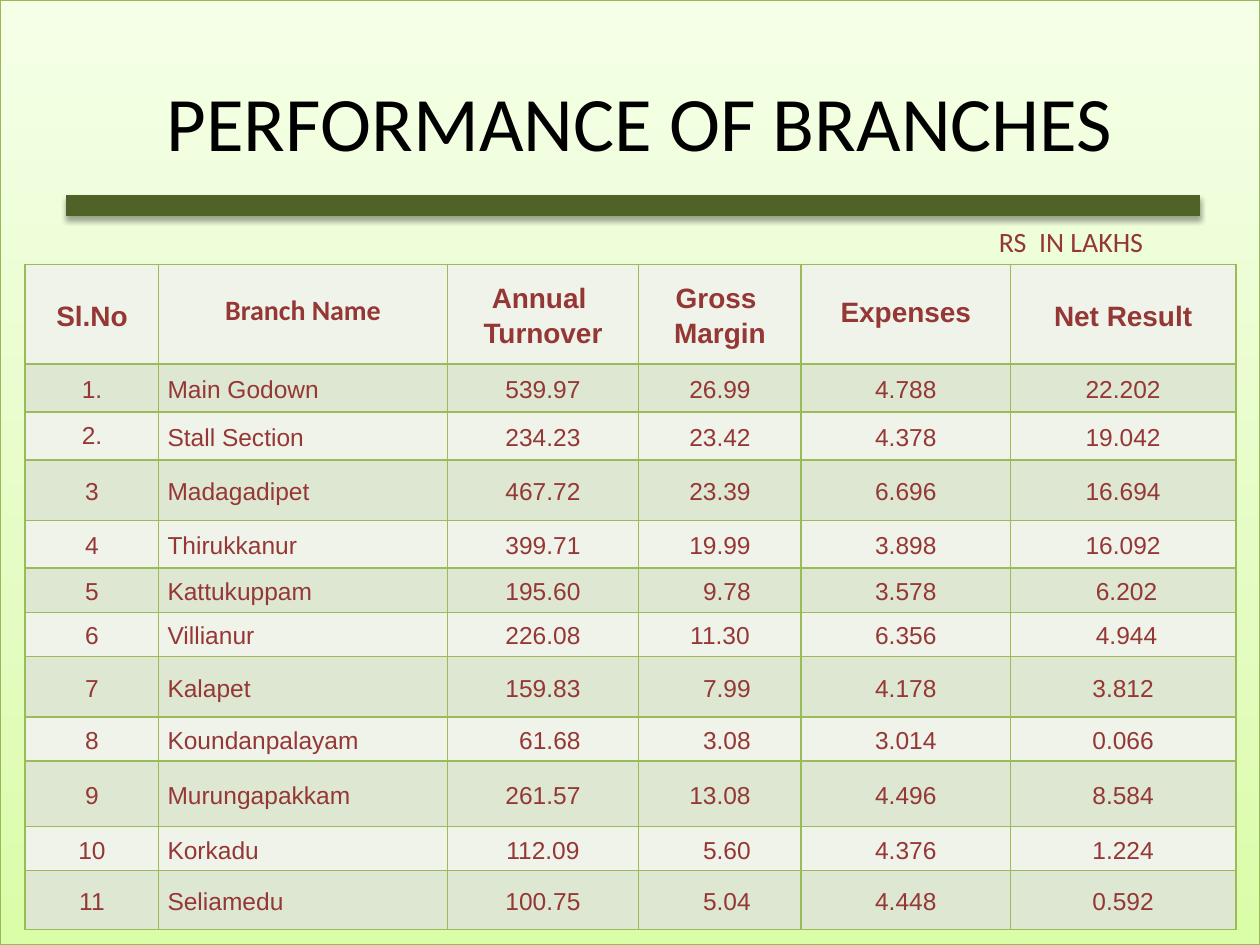
from lxml import etree
from pptx import Presentation
from pptx import util as u
from pptx.dml.color import RGBColor
from pptx.enum import shapes, text
from pptx.oxml import parse_xml
from pptx.oxml.ns import nsdecls, qn

Inches, Pt = u.Inches, u.Pt

OLIVE = RGBColor(0x4F, 0x62, 0x28)
GREEN = RGBColor(0x9B, 0xBB, 0x59)
EDGE = RGBColor(0x98, 0xB9, 0x55)
MAROON = RGBColor(0x95, 0x37, 0x35)
BLACK = RGBColor(0, 0, 0)
PALE = RGBColor(0xEF, 0xF3, 0xEA)
BAND = RGBColor(0xDE, 0xE7, 0xD1)
BACKDROP_STOPS = [
    (0, RGBColor(0xDA, 0xFD, 0xA7)),
    (35, RGBColor(0xE4, 0xFC, 0xC2)),
    (100, RGBColor(0xF5, 0xFF, 0xE7)),
]

COLUMN_WIDTHS = [1.06, 2.29, 1.52, 1.29, 1.66, 1.79]
ROW_HEIGHTS = [0.79, 0.38, 0.38, 0.48, 0.38, 0.35, 0.35, 0.48, 0.35, 0.52, 0.35, 0.47]
HEADINGS = ["Sl.No", "Branch Name", "Annual \nTurnover", "Gross \nMargin", "Expenses", "Net Result"]
TIGHT_HEADINGS = {"Branch Name", "Turnover", "Margin", "Expenses"}
BRANCHES = [
    ("1.", "Main Godown", "539.97", "26.99", "4.788", "22.202"),
    ("2.", "Stall Section", "234.23", "23.42", "4.378", "19.042"),
    ("3", "Madagadipet", "467.72", "23.39", "6.696", "16.694"),
    ("4", "Thirukkanur", "399.71", "19.99", "3.898", "16.092"),
    ("5", "Kattukuppam", "195.60", "9.78", "3.578", " 6.202"),
    ("6", "Villianur", "226.08", "11.30", "6.356", " 4.944"),
    ("7", "Kalapet", "159.83", "7.99", "4.178", "3.812"),
    ("8", "Koundanpalayam", "61.68", "3.08", "3.014", "0.066"),
    ("9", "Murungapakkam", "261.57", "13.08", "4.496", "8.584"),
    ("10", "Korkadu", "112.09", "5.60", "4.376", "1.224"),
    ("11", "Seliamedu", "100.75", "5.04", "4.448", "0.592"),
]
FULL_DIGITS = {2: 6, 3: 5}
DIGIT_WIDTH = 0.11


def style_font(font, size, name, color, bold=False):
    """Set the size, typeface, colour and weight of a font."""
    font.size, font.name, font.bold = Pt(size), name, bold
    font.color.rgb = color


def add_shadow(shape, opacity, distance):
    """Give a shape a soft black shadow that falls straight down."""
    shape.shadow.inherit = False
    effects = shape.element.spPr.find(qn("a:effectLst"))
    effects.append(parse_xml(
        f'<a:outerShdw {nsdecls("a")} blurRad="{Pt(3.1)}" dist="{Pt(distance)}" '
        f'dir="5400000" rotWithShape="0"><a:srgbClr val="000000">'
        f'<a:alpha val="{opacity * 1000}"/></a:srgbClr></a:outerShdw>'))


def add_backdrop(slide, left, top, width, height):
    """Cover the box with the green gradient panel."""
    panel = slide.shapes.add_shape(shapes.MSO_SHAPE.RECTANGLE, left, top, width, height)
    panel.fill.gradient()
    panel.fill.gradient_angle = 90
    stops = panel.element.spPr.find(qn("a:gradFill")).find(qn("a:gsLst"))
    stops.clear()
    for position, color in BACKDROP_STOPS:
        stop = etree.SubElement(stops, qn("a:gs"), pos=str(position * 1000))
        etree.SubElement(stop, qn("a:srgbClr"), val=str(color))
    panel.line.color.rgb = EDGE
    panel.line.width = Pt(0.75)
    add_shadow(panel, 38, 1.6)


def add_rule(slide, left, top, width, height):
    """Draw the olive bar under the title."""
    bar = slide.shapes.add_shape(shapes.MSO_SHAPE.MATH_MINUS, left, top, width, height)
    bar.fill.solid()
    bar.fill.fore_color.rgb = OLIVE
    bar.line.fill.background()
    add_shadow(bar, 35, 1.8)


def add_label(slide, left, top, width, height, wording, size, color, align):
    """Place one line of text in the box."""
    frame = slide.shapes.add_textbox(left, top, width, height).text_frame
    frame.word_wrap = True
    frame.vertical_anchor = text.MSO_ANCHOR.MIDDLE
    frame.text = wording
    line = frame.paragraphs[0]
    line.alignment = align
    style_font(line.runs[0].font, size, "Calibri", color)


def add_borders(cell):
    """Outline a cell in green."""
    properties = cell._tc.get_or_add_tcPr()
    for index, side in enumerate("LRTB"):
        properties.insert(index, parse_xml(
            f'<a:ln{side} {nsdecls("a")} w="{Pt(1)}"><a:solidFill>'
            f'<a:srgbClr val="{GREEN}"/></a:solidFill></a:ln{side}>'))


def fill_cell(cell, wording, row, column):
    """Write and format one cell of the branch table."""
    heading = row == 0
    cell.fill.solid()
    cell.fill.fore_color.rgb = BAND if row % 2 else PALE
    add_borders(cell)
    cell.vertical_anchor = text.MSO_ANCHOR.MIDDLE
    short = not heading and len(wording) < FULL_DIGITS.get(column, 0)
    cell.margin_left = Inches(0.07 + DIGIT_WIDTH * short)
    cell.margin_right = Inches(0.07)
    cell.margin_top = cell.margin_bottom = 0
    cell.text_frame.text = wording
    for index, line in enumerate(cell.text_frame.paragraphs):
        branch = column == 1 and not heading
        line.alignment = text.PP_ALIGN.LEFT if branch else text.PP_ALIGN.CENTER
        if line.text != "2.":
            line.line_spacing = Pt(16.1) if line.text in TIGHT_HEADINGS else 1.15
        if index:
            line.space_before = Pt(3.9)
        typeface = "Calibri" if line.text == "Branch Name" else "Arial"
        style_font(line.runs[0].font, 16 if heading else 14, typeface, MAROON, heading)


def add_branch_table(slide, left, top, width, height):
    """Build the table of branch results in the box."""
    rows = [HEADINGS, *BRANCHES]
    table = slide.shapes.add_table(len(rows), len(HEADINGS), left, top, width, height).table
    table.first_row = table.horz_banding = False
    for column, share in zip(table.columns, COLUMN_WIDTHS):
        column.width = int(width * share / sum(COLUMN_WIDTHS))
    for row, share in zip(table.rows, ROW_HEIGHTS):
        row.height = int(height * share / sum(ROW_HEIGHTS))
    for r, values in enumerate(rows):
        for c, wording in enumerate(values):
            fill_cell(table.cell(r, c), wording, r, c)


def main():
    """Build the branch performance slide."""
    deck = Presentation()
    deck.slide_width, deck.slide_height = Inches(10), Inches(7.5)
    slide = deck.slides.add_slide(deck.slide_layouts[6])
    add_backdrop(slide, 0, 0, deck.slide_width, deck.slide_height)
    add_rule(slide, Inches(-1.1), Inches(1.28), Inches(12.25), Inches(0.71))
    add_branch_table(slide, Inches(0.2), Inches(2.1), Inches(9.61), Inches(5.28))
    add_label(slide, Inches(7.83), Inches(1.73), Inches(1.89), Inches(0.37),
              "RS  IN LAKHS", 16, MAROON, text.PP_ALIGN.LEFT)
    add_label(slide, Inches(0.33), Inches(0.5), Inches(9.5), Inches(0.92),
              "PERFORMANCE OF BRANCHES", 44, BLACK, text.PP_ALIGN.CENTER)
    deck.save("out.pptx")


if __name__ == "__main__":
    main()
